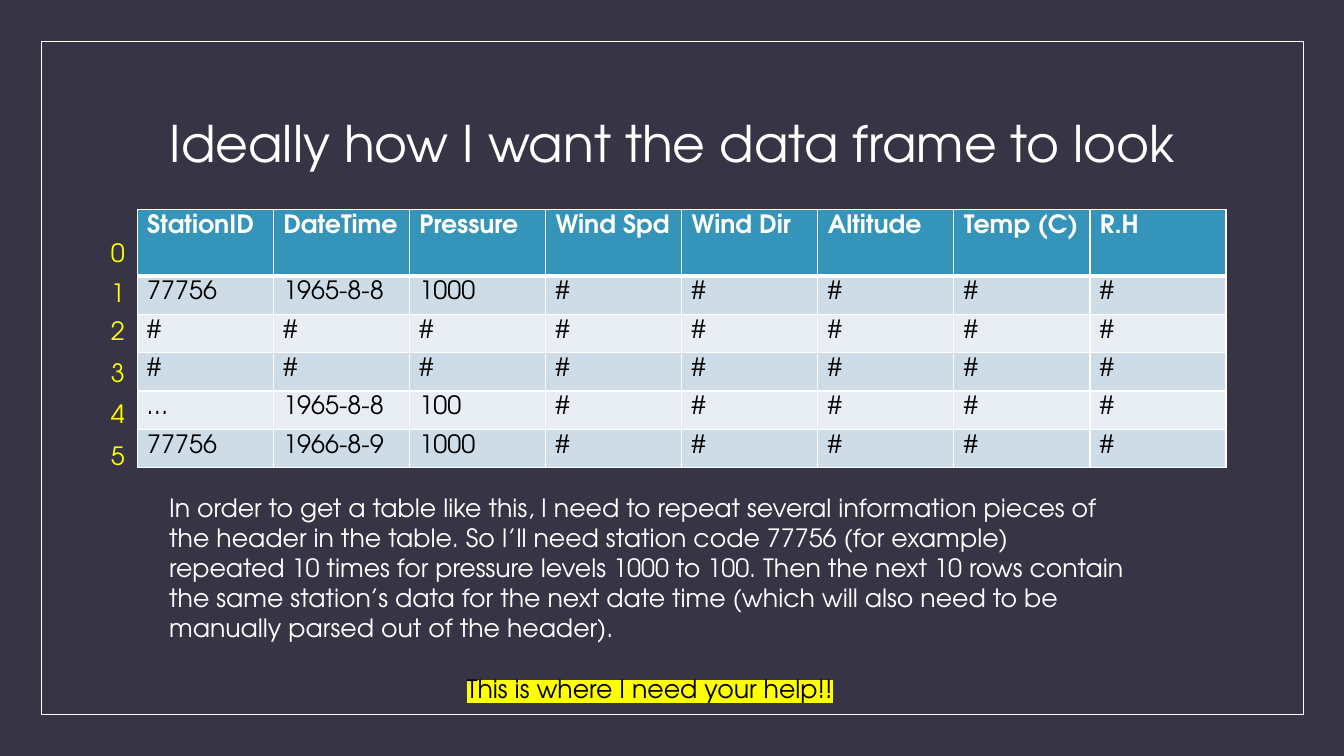
"""Build a slide showing the desired layout of a weather data frame."""
from lxml import etree
from pptx import Presentation
from pptx.dml.color import RGBColor
from pptx.enum.shapes import MSO_SHAPE
from pptx.enum.text import MSO_ANCHOR, PP_ALIGN
from pptx.oxml.ns import qn
from pptx.util import Inches, Pt

RECTANGLE = MSO_SHAPE.RECTANGLE
MIDDLE = MSO_ANCHOR.MIDDLE
CENTER = PP_ALIGN.CENTER
LEFT = PP_ALIGN.LEFT

FONT = "TeX Gyre Adventor"
WHITE, BLACK, YELLOW = "FFFFFF", "000000", "FFFF00"
BACKGROUND, HEADER_FILL = "373545", "3494BA"
BAND_FILLS = ["CEDCE7", "E8EEF3"]

TITLE = "Ideally how I want the data frame to look"
HEADERS = ["StationID", "DateTime", "Pressure", "Wind Spd",
           "Wind Dir", "Altitude", "Temp (C)", "R.H"]
LEADING_VALUES = [
    ["77756", "1965-8-8", "1000"],
    ["#", "#", "#"],
    ["#", "#", "#"],
    ["…", "1965-8-8", "100"],
    ["77756", "1966-8-9", "1000"],
]
EXPLANATION = (
    "In order to get a table like this, I need to repeat several information "
    "pieces of the header in the table. So I’ll need station code 77756 (for "
    "example) repeated 10 times for pressure levels 1000 to 100. Then the next "
    "10 rows contain the same station’s data for the next date time (which "
    "will also need to be manually parsed out of the header)."
)
REQUEST = "This is where I need your help!!"
INDEX_SPACING = [0, 7.2, 6, 8.4, 7.2, 8.4]
COLUMN_WIDTH, HEADER_HEIGHT, ROW_HEIGHT = 1.35, 0.66, 0.38


def color(value):
    return RGBColor.from_string(value)


def box(left, top, width, height):
    return [Inches(length) for length in (left, top, width, height)]


def write(paragraph, text, text_color, size=18, bold=False, align=LEFT, before=0):
    paragraph.text = text
    paragraph.alignment = align
    paragraph.space_before = Pt(before)
    font = paragraph.runs[0].font
    font.name = FONT
    font.size = Pt(size)
    font.bold = bold
    font.color.rgb = color(text_color)


def highlight(run, value):
    mark = etree.Element(qn("a:highlight"))
    etree.SubElement(mark, qn("a:srgbClr"), val=value)
    run.font.fill
    run._r.rPr.find(qn("a:solidFill")).addnext(mark)


def set_borders(cell, top, bottom):
    properties = cell._tc.get_or_add_tcPr()
    sides = [("a:lnL", 1), ("a:lnR", 1), ("a:lnT", top), ("a:lnB", bottom)]
    for position, (tag, points) in enumerate(sides):
        line = etree.Element(qn(tag), w=str(Pt(points)))
        fill = etree.SubElement(line, qn("a:solidFill"))
        etree.SubElement(fill, qn("a:srgbClr"), val=WHITE)
        properties.insert(position, line)


def add_title(slide):
    title = slide.shapes.title
    title.left, title.top, title.width, title.height = box(1.17, 0.7, 11, 1.5)
    title.text_frame.word_wrap = True
    title.text_frame.vertical_anchor = MIDDLE
    paragraph = title.text_frame.paragraphs[0]
    write(paragraph, TITLE, WHITE, size=36, align=CENTER)
    paragraph.line_spacing = 0.9


def add_frame(slide):
    frame = slide.shapes.add_shape(RECTANGLE, *box(0.41, 0.41, 12.52, 6.68))
    frame.shadow.inherit = False
    frame.fill.background()
    frame.line.color.rgb = color(WHITE)
    frame.line.width = Pt(0.5)


def add_data_table(slide):
    rows = [HEADERS] + [
        values + ["#"] * (len(HEADERS) - len(values)) for values in LEADING_VALUES
    ]
    width = COLUMN_WIDTH * len(HEADERS)
    height = HEADER_HEIGHT + ROW_HEIGHT * len(LEADING_VALUES)
    table = slide.shapes.add_table(
        len(rows), len(HEADERS), *box(1.36, 2.08, width, height)).table
    for column in table.columns:
        column.width = Inches(COLUMN_WIDTH)
    for row_number, values in enumerate(rows):
        is_header = row_number == 0
        table.rows[row_number].height = Inches(HEADER_HEIGHT if is_header else ROW_HEIGHT)
        fill = HEADER_FILL if is_header else BAND_FILLS[(row_number - 1) % 2]
        for column_number, value in enumerate(values):
            cell = table.cell(row_number, column_number)
            cell.fill.solid()
            cell.fill.fore_color.rgb = color(fill)
            set_borders(cell, top=3 if row_number == 1 else 1, bottom=3 if is_header else 1)
            write(cell.text_frame.paragraphs[0], value,
                  WHITE if is_header else BLACK, bold=is_header)


def add_text_frame(slide, *place):
    text_frame = slide.shapes.add_textbox(*box(*place)).text_frame
    text_frame.word_wrap = True
    return text_frame


def add_explanation(slide):
    text_frame = add_text_frame(slide, 1.58, 4.83, 9.73, 2.22)
    write(text_frame.paragraphs[0], EXPLANATION, WHITE)
    request = text_frame.add_paragraph()
    write(request, REQUEST, BLACK, align=CENTER, before=21.5)
    highlight(request.runs[0], YELLOW)


def add_row_index(slide):
    text_frame = add_text_frame(slide, 1, 2.3, 0.45, 2.81)
    for number, spacing in enumerate(INDEX_SPACING):
        paragraph = text_frame.add_paragraph() if number else text_frame.paragraphs[0]
        write(paragraph, str(number), YELLOW, before=spacing)


def main():
    presentation = Presentation()
    presentation.slide_width = Inches(13.33)
    presentation.slide_height = Inches(7.5)
    slide = presentation.slides.add_slide(presentation.slide_layouts[5])
    slide.background.fill.solid()
    slide.background.fill.fore_color.rgb = color(BACKGROUND)
    add_frame(slide)
    add_title(slide)
    add_data_table(slide)
    add_explanation(slide)
    add_row_index(slide)
    presentation.save("out.pptx")


if __name__ == "__main__":
    main()
